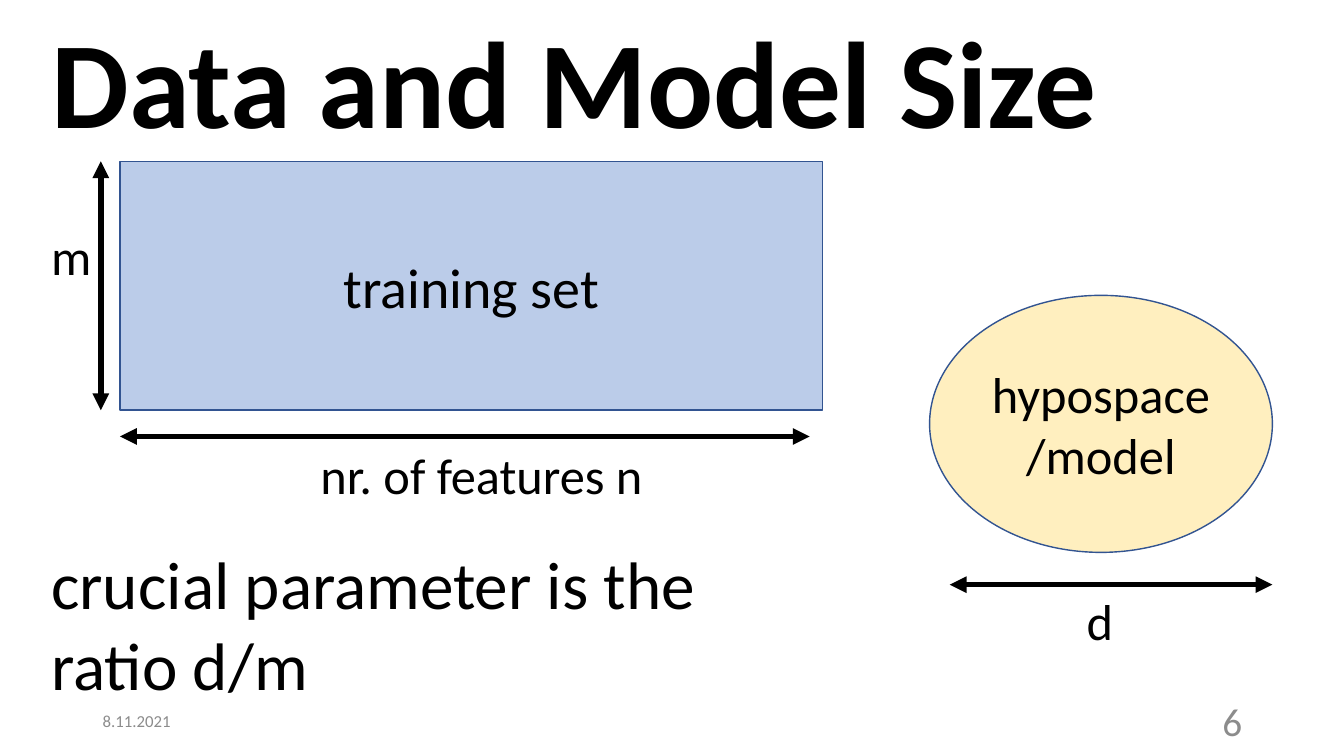
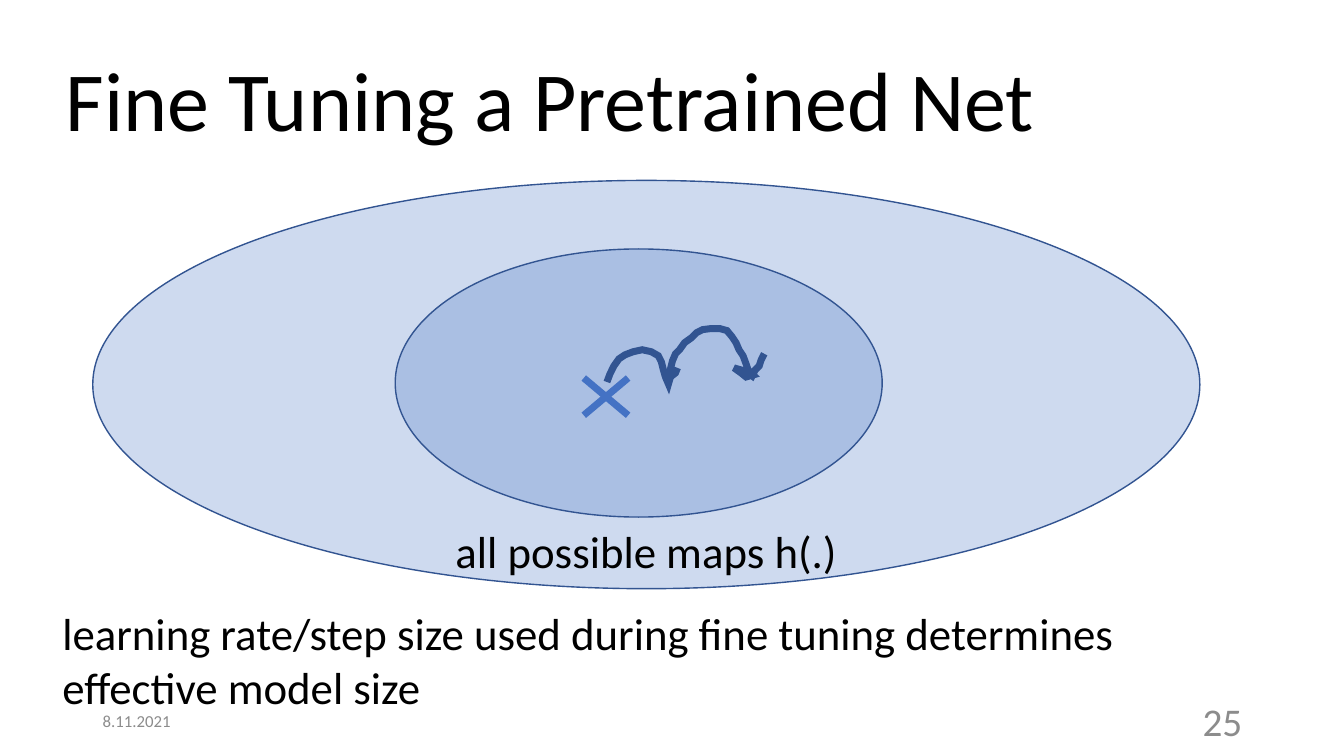
from dataclasses import dataclass

from lxml.etree import SubElement
from pptx import Presentation
from pptx.dml.color import RGBColor
from pptx.enum.shapes import MSO_CONNECTOR as Connector, MSO_SHAPE as Shape
from pptx.enum.text import MSO_ANCHOR as Anchor, MSO_AUTO_SIZE as AutoSize, PP_ALIGN as Align
from pptx.oxml.ns import qn
from pptx.util import Pt

PX = 9144  # EMU: 100 px make one inch
TITLE_ONLY = 5


@dataclass(frozen=True)
class Theme:
    font: str = "Calibri"
    ink: str = "000000"
    muted: str = "8C8C8C"
    blue: str = "4472C4"
    navy: str = "325491"
    gold: str = "FFC000"
    banner: int = 88
    heading: int = 60
    statement: int = 48
    data: int = 40
    label: int = 36
    text: int = 32
    number: int = 28
    date: int = 12
    outline: int = 1
    arrow: int = 4
    stroke: int = 5


def apply(target, values):
    for name, value in values.items():
        setattr(target, name, value)


def emu(*lengths):
    return [length * PX for length in lengths]


class SlideMaker:
    def __init__(self, theme):
        self.theme = theme
        self.deck = Presentation()
        self.deck.slide_width, self.deck.slide_height = emu(1333, 750)
        self.page = None

    def start(self, title, box, size, bold=False, spacing=1.0):
        self.page = self.deck.slides.add_slide(self.deck.slide_layouts[TITLE_ONLY])
        holder = self.page.shapes.title
        apply(holder, dict(zip(("left", "top", "width", "height"), emu(*box))))
        self.fill_text(holder, title, size, bold=bold, anchor=Anchor.MIDDLE, spacing=spacing)

    def fill_text(self, shape, text, size, color=None, bold=False, align=Align.LEFT,
                  anchor=Anchor.TOP, spacing=1.0, wrap=True, fit=AutoSize.NONE):
        frame = shape.text_frame
        frame.text = text
        apply(frame, {"word_wrap": wrap, "auto_size": fit, "vertical_anchor": anchor})
        for para in frame.paragraphs:
            apply(para, {"alignment": align, "line_spacing": spacing})
            for span in para.runs:
                apply(span.font, {"name": self.theme.font, "size": Pt(size), "bold": bold})
                span.font.color.rgb = RGBColor.from_string(color or self.theme.ink)

    def text(self, text, box, size, **style):
        self.fill_text(self.page.shapes.add_textbox(*emu(*box)), text, size, **style)

    def label(self, text, box, size):
        self.text(text, box, size, wrap=False, fit=AutoSize.SHAPE_TO_FIT_TEXT)

    def footer(self, number):
        for text, left, size, align in (("8.11.2021", 92, self.theme.date, Align.LEFT),
                                        (number, 942, self.theme.number, Align.RIGHT)):
            self.text(text, (left, 695, 300, 40), size, color=self.theme.muted,
                      align=align, anchor=Anchor.MIDDLE)

    def pen(self, line, color, width):
        line.color.rgb = RGBColor.from_string(color)
        line.width = Pt(width)

    def region(self, kind, box, color, opacity, text="", size=None):
        """Add an outlined shape whose fill shows opacity percent of its colour."""
        shape = self.page.shapes.add_shape(kind, *emu(*box))
        shape.shadow.inherit = False
        shape.fill.solid()
        shape.fill.fore_color.rgb = RGBColor.from_string(color)
        tint = shape._element.spPr.find(qn("a:solidFill"))[0]
        SubElement(tint, qn("a:alpha"), val=str(opacity * 1000))
        self.pen(shape.line, self.theme.navy, self.theme.outline)
        if text:
            self.fill_text(shape, text, size, align=Align.CENTER, anchor=Anchor.MIDDLE)

    def line(self, start, end, color, width):
        line = self.page.shapes.add_connector(Connector.STRAIGHT, *emu(*start, *end))
        self.pen(line.line, color, width)
        SubElement(line._element.spPr, qn("a:effectLst"))
        return line

    def double_arrow(self, start, end):
        arrow = self.line(start, end, self.theme.ink, self.theme.arrow)
        for tip in ("a:headEnd", "a:tailEnd"):
            SubElement(arrow._element.spPr.find(qn("a:ln")), qn(tip), type="triangle")

    def stroke(self, points):
        """Draw an open outline with pointed corners."""
        builder = self.page.shapes.build_freeform(*points[0], scale=PX)
        builder.add_line_segments(points[1:], close=False)
        shape = builder.convert_to_shape()
        shape.shadow.inherit = False
        shape.fill.background()
        self.pen(shape.line, self.theme.navy, self.theme.stroke)
        SubElement(shape._element.spPr.find(qn("a:ln")), qn("a:miter"), lim="800000")


def data_and_model_size(maker, theme):
    maker.start("Data and Model Size", (41, 15, 1343, 145), theme.banner, bold=True, spacing=0.9)
    maker.region(Shape.RECTANGLE, (119, 160, 697, 247), theme.blue, 36, "training set", theme.data)
    maker.region(Shape.OVAL, (922, 293, 340, 255), theme.gold, 25, "hypospace/model", theme.label)
    for start, end in (((100, 160), (100, 407)),
                       ((119, 433), (803, 433)),
                       ((942, 580), (1262, 580))):
        maker.double_arrow(start, end)
    for text, box in (("m", (41, 218, 45, 71)),
                      ("nr. of features n", (308, 436, 343, 71)),
                      ("d", (1068, 580, 47, 71))):
        maker.label(text, box, theme.label)
    maker.label("crucial parameter is the\nratio d/m", (41, 533, 681, 172), theme.statement)
    maker.footer("6")


def fine_tuning(maker, theme):
    maker.start("Fine Tuning a Pretrained Net", (55, 42, 1010, 111), theme.heading)
    maker.region(Shape.OVAL, (92, 179, 1098, 405), theme.blue, 26)
    maker.region(Shape.OVAL, (392, 247, 483, 266), theme.blue, 26)
    maker.text("all possible maps h(.)", (92, 515, 1098, 64), theme.text, align=Align.CENTER)
    left, top, right, bottom = 579, 375, 623, 412
    for start, end in (((left, top), (right, bottom)), ((left, bottom), (right, top))):
        maker.line(start, end, theme.blue, theme.stroke)
    first_step = [(602, 379), (605, 371), (609, 363), (614, 356), (620, 352), (628, 349),
                  (637, 347), (646, 349), (653, 353), (656, 359), (658, 367), (660, 374),
                  (663, 381), (665, 374), (670, 370), (672, 365)]
    second_step = [(663, 374), (667, 358), (670, 351), (674, 347), (679, 340), (686, 335),
                   (691, 330), (697, 327), (705, 326), (714, 326), (721, 328), (726, 334),
                   (730, 340), (733, 347), (737, 353), (740, 361), (742, 367), (747, 372),
                   (740, 374), (735, 370), (728, 365), (735, 367), (742, 370), (746, 373),
                   (749, 367), (753, 363), (755, 357), (758, 351)]
    for step in (first_step, second_step):
        maker.stroke(step)
    maker.label("learning rate/step size used during fine tuning determines\neffective model size",
                (52, 596, 1085, 118), theme.text)
    maker.footer("25")


def main():
    theme = Theme()
    maker = SlideMaker(theme)
    data_and_model_size(maker, theme)
    fine_tuning(maker, theme)
    maker.deck.save("out.pptx")


if __name__ == "__main__":
    main()
